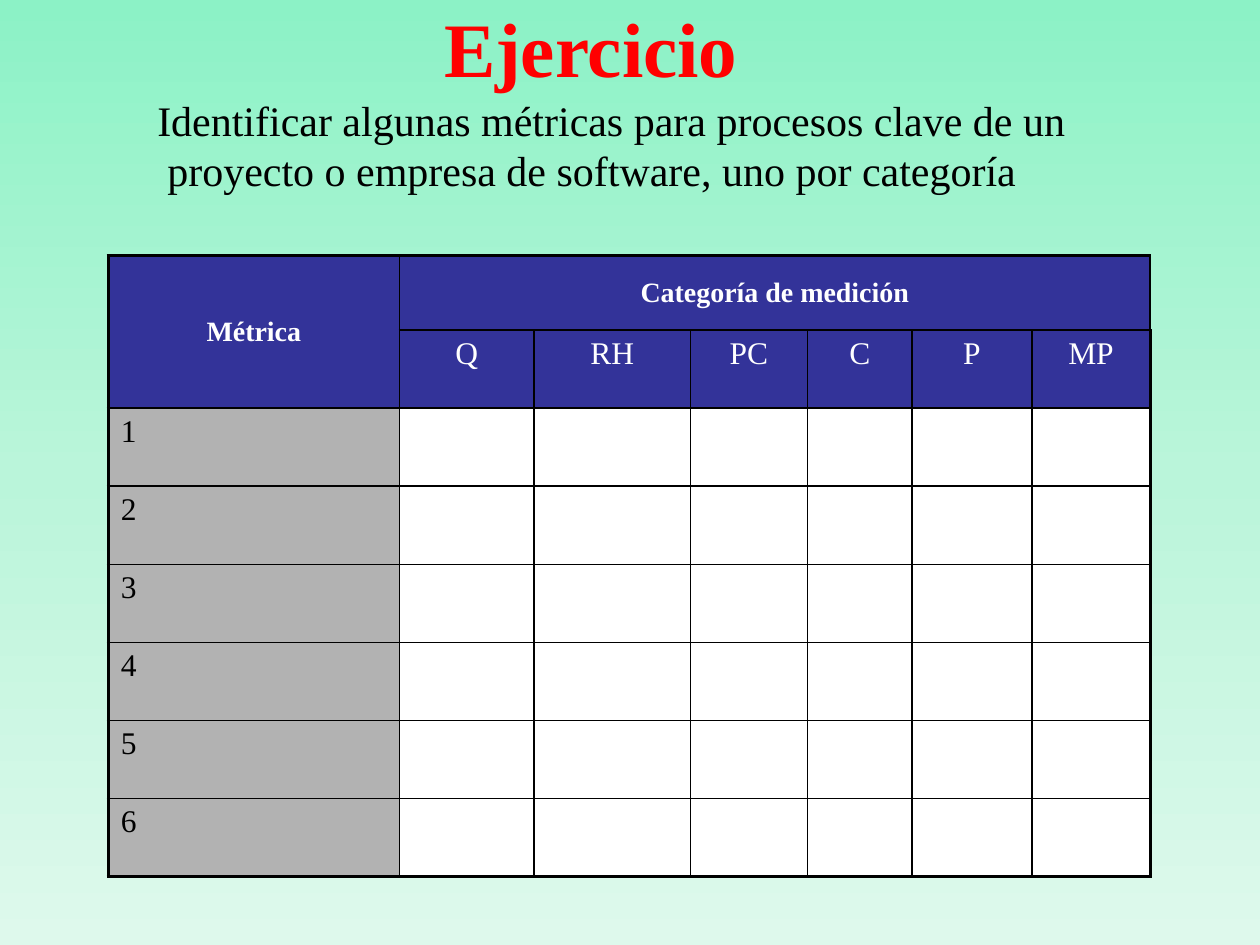
from copy import deepcopy
from dataclasses import dataclass

from lxml.etree import SubElement
from pptx import Presentation
from pptx.dml.color import RGBColor
from pptx.enum.text import MSO_ANCHOR, PP_ALIGN
from pptx.oxml.ns import qn
from pptx.util import Inches, Pt


@dataclass(frozen=True)
class Theme:
    font: str = "Times New Roman"
    title: str = "FF0000"
    text: str = "000000"
    header: str = "333399"
    header_text: str = "FFFFFF"
    label: str = "B2B2B2"
    cell: str = "FFFFFF"
    border: str = "000000"
    gradient: tuple = ("8CF2C6", "BAF5DA", "DEF9EC")
    title_size: float = 44
    body_size: float = 24
    heading_size: float = 16
    cell_size: float = 18
    outer: float = 2.25
    inner: float = 1


class SlideBuilder:
    def __init__(self, slide, theme):
        self.s = slide
        self.theme = theme

    def background(self):
        fill = self.s.background.fill
        fill.gradient()
        fill.gradient_angle = 270
        stops = self.s._element.find(".//" + qn("a:gsLst"))
        stops.insert(1, deepcopy(stops[0]))
        colors = self.theme.gradient
        for i, (stop, color) in enumerate(zip(fill.gradient_stops, colors)):
            stop.color.rgb = RGBColor.from_string(color)
            stop.position = i / (len(colors) - 1)

    def paragraph(self, tf, text, size, color, bold=False, align=PP_ALIGN.LEFT, before=0.2):
        p = tf.paragraphs[0]
        p.text = text
        p.alignment = align
        p.space_before = Pt(size * before)
        p.font.name = self.theme.font
        p.font.size = Pt(size)
        p.font.bold = bold
        p.font.color.rgb = RGBColor.from_string(color)
        return p

    def text(self, box, text, size, color, anchor=MSO_ANCHOR.TOP, **style):
        tf = self.s.shapes.add_textbox(*map(Inches, box)).text_frame
        tf.word_wrap = True
        tf.vertical_anchor = anchor
        return self.paragraph(tf, text, size, color, **style)

    def table(self, left, top, widths, heights):
        box = map(Inches, (left, top, sum(widths), sum(heights)))
        table = self.s.shapes.add_table(len(heights), len(widths), *box).table
        table.first_row = table.horz_banding = False
        for col, width in zip(table.columns, widths):
            col.width = Inches(width)
        for row, height in zip(table.rows, heights):
            row.height = Inches(height)
        return table

    def cell(self, table, row, col, fill, text="", size=None, color=None, **style):
        cell = table.cell(row, col)
        edges = {
            "L": col == 0,
            "R": col == len(table.columns) - 1,
            "T": row == 0,
            "B": row == len(table.rows) - 1,
        }
        tcPr = cell._tc.get_or_add_tcPr()
        for side, outside in edges.items():
            width = Pt(self.theme.outer if outside else self.theme.inner)
            ln = SubElement(tcPr, qn(f"a:ln{side}"), w=str(width))
            solid = SubElement(ln, qn("a:solidFill"))
            SubElement(solid, qn("a:srgbClr"), val=self.theme.border)
        cell.fill.solid()
        cell.fill.fore_color.rgb = RGBColor.from_string(fill)
        if text:
            self.paragraph(cell.text_frame, text, size, color, **style)
        return cell


def main():
    prs = Presentation()
    prs.slide_width, prs.slide_height = Inches(10), Inches(7.5)
    t = Theme()
    b = SlideBuilder(prs.slides.add_slide(prs.slide_layouts[6]), t)
    b.background()

    p = b.text((0.75, -0.08, 7.88, 1.08), "Ejercicio", t.title_size, t.title,
               MSO_ANCHOR.MIDDLE, bold=True, align=PP_ALIGN.CENTER, before=0)
    p.line_spacing = 0.7

    p = b.text((0.65, 0.7, 8.76, 1.14),
               "Identificar algunas métricas para procesos clave de un "
               "proyecto o empresa de software, uno por categoría",
               t.body_size, t.text)
    pPr = p._p.get_or_add_pPr()
    pPr.set("marL", str(Inches(0.58)))
    pPr.set("indent", str(Inches(-0.08)))

    categories = ["Q", "RH", "PC", "C", "P", "MP"]
    metrics = 6
    table = b.table(0.86, 2.03, [2.31, 1.07, 1.24, 0.93, 0.83, 0.95, 0.94],
                    [0.59] + [0.62] * (metrics + 1))
    headings = {0: "Métrica", 1: "Categoría de medición"}
    for col in range(len(categories) + 1):
        cell = b.cell(table, 0, col, t.header, headings.get(col, ""), t.heading_size,
                      t.header_text, bold=True, align=PP_ALIGN.CENTER)
        cell.vertical_anchor = MSO_ANCHOR.MIDDLE
    for col, name in enumerate([""] + categories):
        b.cell(table, 1, col, t.header, name, t.cell_size, t.header_text,
               align=PP_ALIGN.CENTER)
    for number in range(1, metrics + 1):
        b.cell(table, number + 1, 0, t.label, str(number), t.cell_size, t.text)
        for col in range(1, len(categories) + 1):
            b.cell(table, number + 1, col, t.cell)
    table.cell(0, 0).merge(table.cell(1, 0))
    table.cell(0, 1).merge(table.cell(0, len(categories)))

    prs.save("out.pptx")


if __name__ == "__main__":
    main()
